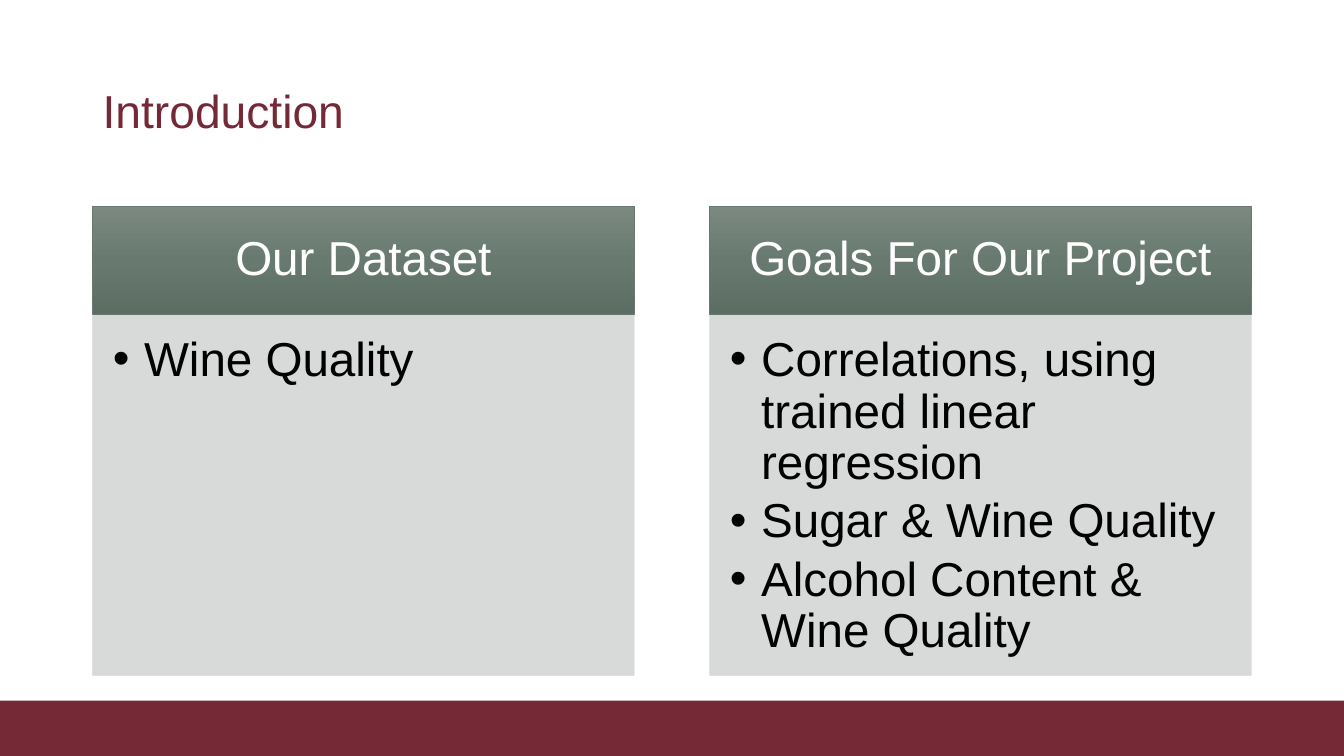
"""Builds the introduction slide with two headed panels."""
from copy import deepcopy
from dataclasses import dataclass

from lxml import etree
from pptx import Presentation
from pptx.dml.color import RGBColor
from pptx.enum.shapes import MSO_SHAPE
from pptx.enum.text import MSO_ANCHOR, PP_ALIGN
from pptx.oxml.ns import qn
from pptx.util import Inches, Pt

RECTANGLE = MSO_SHAPE.RECTANGLE
TOP, MIDDLE = MSO_ANCHOR.TOP, MSO_ANCHOR.MIDDLE
LEFT, CENTER = PP_ALIGN.LEFT, PP_ALIGN.CENTER

COLORS = {
    "wine": "752836",
    "white": "FFFFFF",
    "black": "000000",
    "heading_top": "7B8981",
    "heading_middle": "687A70",
    "heading_bottom": "5C6D63",
    "heading_edge": "697970",
    "body": "D4D7D5",
}
FONT = "Arial"
PANEL_LEFT, PANEL_PITCH, PANEL_WIDTH = 0.92, 6.12, 5.37
HEADING_TOP, HEADING_HEIGHT = 2.05, 1.07
BODY_TOP, BODY_HEIGHT = 3.13, 3.57
BULLET_INDENT = 0.31


@dataclass(frozen=True)
class Panel:
    heading: str
    points: tuple[str, ...]


PANELS = (
    Panel("Our Dataset", ("Wine Quality",)),
    Panel("Goals For Our Project", (
        "Correlations, using trained linear regression",
        "Sugar & Wine Quality",
        "Alcohol Content & Wine Quality",
    )),
)


def rgb(name: str) -> RGBColor:
    return RGBColor.from_string(COLORS[name])


def add_bullet(paragraph) -> None:
    properties = paragraph._p.get_or_add_pPr()
    properties.set("marL", str(Inches(BULLET_INDENT)))
    properties.set("indent", str(-Inches(BULLET_INDENT)))
    etree.SubElement(properties, qn("a:buFont"), typeface=FONT)
    etree.SubElement(properties, qn("a:buChar"), char="•")


def write(shape, *lines: str, size: float, color: str,
          insets: tuple[float, float, float, float] = (0.1, 0.05, 0.1, 0.05),
          anchor=MIDDLE, align=LEFT, bullets: bool = False,
          space_after: float = 0) -> None:
    frame = shape.text_frame
    frame.word_wrap = True
    frame.vertical_anchor = anchor
    (frame.margin_left, frame.margin_top,
     frame.margin_right, frame.margin_bottom) = map(Inches, insets)
    frame.text = "\n".join(lines)
    for paragraph in frame.paragraphs:
        paragraph.alignment = align
        paragraph.line_spacing = 0.9
        paragraph.space_after = Pt(space_after)
        font = paragraph.runs[0].font
        font.name, font.size = FONT, Pt(size)
        font.color.rgb = rgb(color)
        if bullets:
            add_bullet(paragraph)


def add_block(slide, left: float, top: float, width: float, height: float,
              fill: str, edge: str | None = None):
    block = slide.shapes.add_shape(
        RECTANGLE, Inches(left), Inches(top), Inches(width), Inches(height))
    block.shadow.inherit = False
    block.fill.solid()
    block.fill.fore_color.rgb = rgb(fill)
    if edge:
        block.line.color.rgb = rgb(edge)
        block.line.width = Pt(0.5)
    else:
        block.line.fill.background()
    return block


def shade_heading(block) -> None:
    block.fill.gradient()
    block.fill.gradient_angle = 270
    stop_list = block._element.spPr.find(qn("a:gradFill")).find(qn("a:gsLst"))
    stop_list.insert(1, deepcopy(stop_list[0]))
    shades = ("heading_top", "heading_middle", "heading_bottom")
    for index, (stop, shade) in enumerate(zip(block.fill.gradient_stops, shades)):
        stop.position = index / 2
        stop.color.rgb = rgb(shade)


def make_translucent(block, percent: int) -> None:
    for color in block._element.spPr.iter(qn("a:srgbClr")):
        etree.SubElement(color, qn("a:alpha"), val=str(percent * 1000))


def add_panel(slide, panel: Panel, left: float) -> None:
    heading = add_block(slide, left, HEADING_TOP, PANEL_WIDTH, HEADING_HEIGHT,
                        "heading_middle", "heading_edge")
    shade_heading(heading)
    write(heading, panel.heading, size=34, color="white", align=CENTER,
          insets=(0.26, 0.15, 0.26, 0.15))

    body = add_block(slide, left, BODY_TOP, PANEL_WIDTH, BODY_HEIGHT,
                     "body", "body")
    make_translucent(body, 90)
    write(body, *panel.points, size=34, color="black", anchor=TOP,
          insets=(0.2, 0.2, 0.26, 0.3), bullets=True, space_after=5)


def main() -> None:
    deck = Presentation()
    deck.slide_width, deck.slide_height = Inches(13.33), Inches(7.5)
    slide = deck.slides.add_slide(deck.slide_layouts[6])

    add_block(slide, 0, 6.95, 13.33, 0.55, "wine")
    title = slide.shapes.add_textbox(
        Inches(0.92), Inches(0.4), Inches(11.5), Inches(1.45))
    write(title, "Introduction", size=33, color="wine")
    for index, panel in enumerate(PANELS):
        add_panel(slide, panel, PANEL_LEFT + index * PANEL_PITCH)

    deck.save("out.pptx")


if __name__ == "__main__":
    main()
